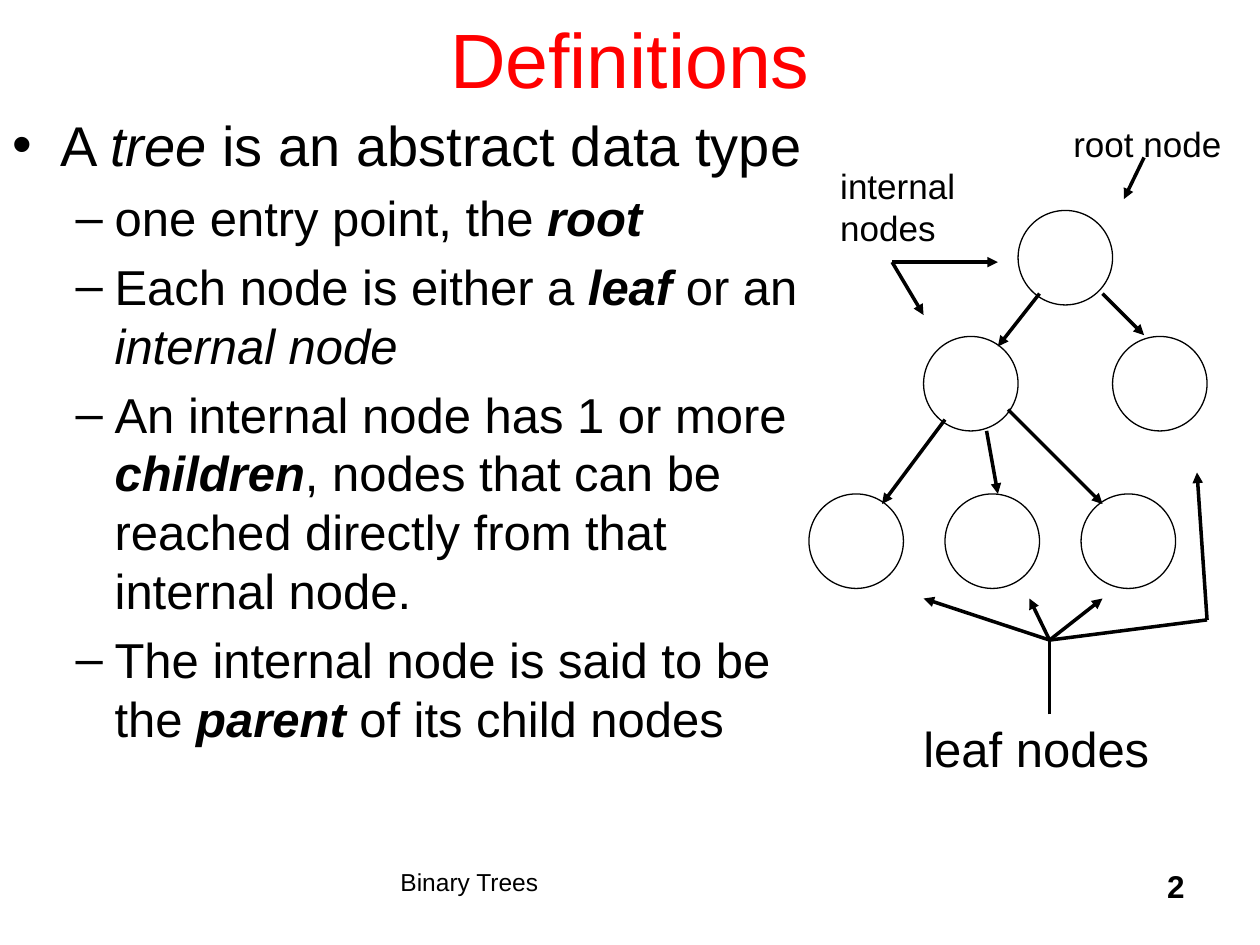
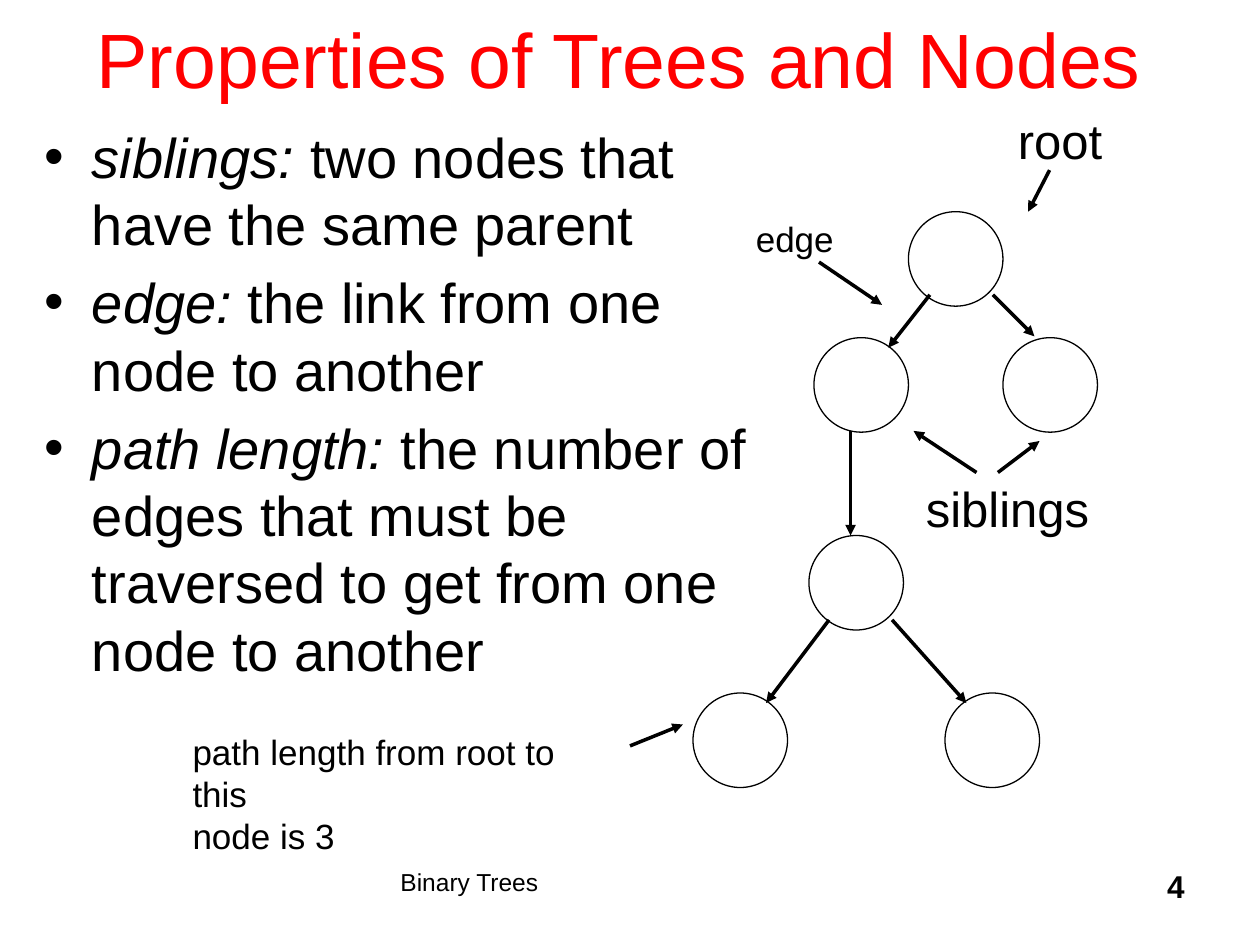
from dataclasses import dataclass
from typing import NamedTuple

from lxml import etree
from pptx import Presentation
from pptx import util as u
from pptx.dml.color import RGBColor
from pptx.enum import shapes, text
from pptx.oxml import ns


@dataclass(frozen=True)
class Theme:
    font: str = "Arial"
    ink: RGBColor = RGBColor(0, 0, 0)
    title_ink: RGBColor = RGBColor(255, 0, 0)
    title: int = 44
    levels: tuple = (32, 28)
    large: int = 28
    small: int = 20
    footer: int = 14
    number: int = 18
    outline: float = 0.75
    arrow: float = 2


T = Theme()
NODE_SIZE = 0.75
BULLETS = (("•", 0.38, -0.38), ("–", 0.81, -0.31))


class Box(NamedTuple):
    x: float
    y: float
    w: float
    h: float


class Node(NamedTuple):
    x: float
    y: float


class Line(NamedTuple):
    x1: float
    y1: float
    x2: float
    y2: float
    arrow: bool = True


class Run(NamedTuple):
    text: str
    bold: bool = False
    italic: bool = False


class Item(NamedTuple):
    level: int
    runs: tuple[Run, ...]


class Label(NamedTuple):
    text: str
    box: Box
    size: int
    wrap: bool = False


@dataclass(frozen=True)
class TreeSlide:
    title: str
    title_box: Box
    number: str
    body_box: Box
    items: tuple[Item, ...]
    top_shift: tuple[float, float]
    nodes: tuple[Node, ...]
    lines: tuple[Line, ...]
    labels: tuple[Label, ...]


TOP_NODES = (Node(8.08, 1.67), Node(7.33, 2.67), Node(8.83, 2.67))
TOP_LINKS = (Line(8.25, 2.33, 7.92, 2.75), Line(8.75, 2.33, 9.08, 2.66))


def term(words: str) -> Run:
    return Run(words, italic=True)


def key(words: str) -> Run:
    return Run(words, bold=True, italic=True)


SLIDES = (
    TreeSlide(
        title="Definitions",
        title_box=Box(0.75, -0.17, 8.5, 1.25),
        number="2",
        body_box=Box(0, 0.83, 6.57, 6),
        items=(
            Item(0, (Run("A "), term("tree"), Run(" is an abstract data type"))),
            Item(1, (Run("one entry point, the "), key("root"))),
            Item(1, (Run("Each node is either a "), key("leaf"), Run(" or an "),
                     term("internal node"))),
            Item(1, (Run("An internal node has 1 or more "), key("children"),
                     Run(", nodes that can be reached directly from that internal node."))),
            Item(1, (Run("The internal node is said to be the "), key("parent"),
                     Run(" of its child nodes"))),
        ),
        top_shift=(0, 0),
        nodes=tuple(Node(6.42 + 1.08 * i, 3.92) for i in range(3)),
        lines=(
            Line(7.5, 3.33, 7, 4),
            Line(7.83, 3.42, 7.92, 3.92),
            Line(8, 3.25, 8.75, 4),
            Line(8.33, 5.67, 8.33, 5.08, False),
            *(Line(8.33, 5.08, x, 4.75) for x in (7.33, 8.17, 8.75)),
            Line(8.33, 5.08, 9.58, 4.92, False),
            Line(9.58, 4.92, 9.5, 3.75),
            Line(9.08, 1.25, 8.92, 1.58),
            Line(7.08, 2.08, 7.33, 2.5),
            Line(7.08, 2.08, 7.92, 2.08),
        ),
        labels=(
            Label("root node", Box(8.42, 0.92, 1.5, 0.43), T.small, wrap=True),
            Label("leaf nodes", Box(7.23, 5.65, 2, 0.57), T.large),
            Label("internal\nnodes", Box(6.57, 1.26, 1.11, 0.77), T.small),
        ),
    ),
    TreeSlide(
        title="Properties of Trees and Nodes",
        title_box=Box(0.5, -0.17, 8.83, 1.25),
        number="4",
        body_box=Box(0.25, 0.92, 6, 6),
        items=(
            Item(0, (term("siblings: "), Run("two nodes that have the same parent"))),
            Item(0, (term("edge:"), Run(" the link from one node to another"))),
            Item(0, (term("path length:"),
                     Run(" the number of edges that must be traversed to get "
                         "from one node to another"))),
        ),
        top_shift=(-0.87, 0.01),
        nodes=(Node(6.42, 4.25), Node(5.5, 5.5), Node(7.5, 5.5)),
        lines=(
            Line(8.33, 1.35, 8.16, 1.68),
            Line(7.75, 3.75, 7.25, 3.42),
            Line(7.92, 3.75, 8.25, 3.5),
            Line(6.5, 2.08, 7, 2.42),
            Line(6.75, 3.42, 6.75, 4.25),
            Line(6.58, 4.92, 6.08, 5.58),
            Line(7.08, 4.92, 7.67, 5.58),
            Line(5, 5.92, 5.42, 5.75),
        ),
        labels=(
            Label("root", Box(7.98, 0.83, 0.87, 0.57), T.large),
            Label("siblings", Box(7.25, 3.75, 1.5, 0.57), T.large),
            Label("edge", Box(5.9, 1.68, 0.82, 0.43), T.small),
            Label("path length from root to this\nnode is 3",
                  Box(1.43, 5.75, 3.5, 0.77), T.small, wrap=True),
        ),
    ),
)


def inches(values) -> list:
    return [u.Inches(v) for v in values]


def place(sp, box: Box) -> None:
    sp.left, sp.top, sp.width, sp.height = inches(box)


def add_run(p, run: Run, size: int, color: RGBColor = T.ink) -> None:
    r = p.add_run()
    r.text = run.text
    f = r.font
    f.name, f.size, f.bold, f.italic = T.font, u.Pt(size), run.bold, run.italic
    f.color.rgb = color


def add_title(s, title: str, box: Box) -> None:
    sp = s.shapes.title
    place(sp, box)
    tf = sp.text_frame
    tf.auto_size = text.MSO_AUTO_SIZE.NONE
    tf.vertical_anchor = text.MSO_ANCHOR.MIDDLE
    p = tf.paragraphs[0]
    p.alignment = text.PP_ALIGN.CENTER
    add_run(p, Run(title), T.title, T.title_ink)


def set_bullet(p, level: int) -> None:
    char, margin, indent = BULLETS[level]
    p.level = level
    pr = p._p.get_or_add_pPr()
    pr.set("marL", str(u.Inches(margin)))
    pr.set("indent", str(u.Inches(indent)))
    etree.SubElement(pr, ns.qn("a:buFont"), typeface=T.font)
    etree.SubElement(pr, ns.qn("a:buChar"), char=char)


def add_body(s, items: tuple[Item, ...], box: Box) -> None:
    sp = s.placeholders[1]
    place(sp, box)
    tf = sp.text_frame
    tf.auto_size = text.MSO_AUTO_SIZE.NONE
    for i, item in enumerate(items):
        p = tf.add_paragraph() if i else tf.paragraphs[0]
        set_bullet(p, item.level)
        for run in item.runs:
            add_run(p, run, T.levels[item.level])


def add_node(s, node: Node) -> None:
    sp = s.shapes.add_shape(shapes.MSO_SHAPE.OVAL,
                            *inches((*node, NODE_SIZE, NODE_SIZE)))
    sp.shadow.inherit = False
    sp.fill.background()
    sp.line.color.rgb = T.ink
    sp.line.width = u.Pt(T.outline)


def add_line(s, line: Line) -> None:
    sp = s.shapes.add_connector(shapes.MSO_CONNECTOR.STRAIGHT, *inches(line[:4]))
    sp.line.color.rgb = T.ink
    sp.line.width = u.Pt(T.arrow)
    if line.arrow:
        etree.SubElement(sp.line._get_or_add_ln(), ns.qn("a:tailEnd"), type="triangle")
    etree.SubElement(sp._element.spPr, ns.qn("a:effectLst"))


def add_label(s, label: Label) -> None:
    tf = s.shapes.add_textbox(*inches(label.box)).text_frame
    tf.word_wrap = label.wrap
    tf.auto_size = text.MSO_AUTO_SIZE.SHAPE_TO_FIT_TEXT
    p = tf.paragraphs[0]
    for i, words in enumerate(label.text.split("\n")):
        if i:
            p.add_line_break()
        add_run(p, Run(words), label.size)


def add_footer(s, run: Run, box: Box, size: int, align: text.PP_ALIGN) -> None:
    tf = s.shapes.add_textbox(*inches(box)).text_frame
    tf.word_wrap = True
    p = tf.paragraphs[0]
    p.alignment = align
    add_run(p, run, size)


def build_slide(prs, data: TreeSlide) -> None:
    s = prs.slides.add_slide(prs.slide_layouts[1])
    add_title(s, data.title, data.title_box)
    add_body(s, data.items, data.body_box)
    dx, dy = data.top_shift
    for x, y in TOP_NODES:
        add_node(s, Node(x + dx, y + dy))
    for link in TOP_LINKS:
        add_line(s, Line(link.x1 + dx, link.y1 + dy, link.x2 + dx, link.y2 + dy))
    for node in data.nodes:
        add_node(s, node)
    for line in data.lines:
        add_line(s, line)
    for label in data.labels:
        add_label(s, label)
    add_footer(s, Run("Binary Trees"), Box(3.08, 6.83, 3.83, 0.5),
               T.footer, text.PP_ALIGN.LEFT)
    add_footer(s, Run(data.number, bold=True), Box(7.42, 6.83, 2.08, 0.5),
               T.number, text.PP_ALIGN.RIGHT)


def main() -> None:
    prs = Presentation()
    prs.slide_width, prs.slide_height = u.Inches(10), u.Inches(7.5)
    for data in SLIDES:
        build_slide(prs, data)
    prs.save("out.pptx")


if __name__ == "__main__":
    main()
